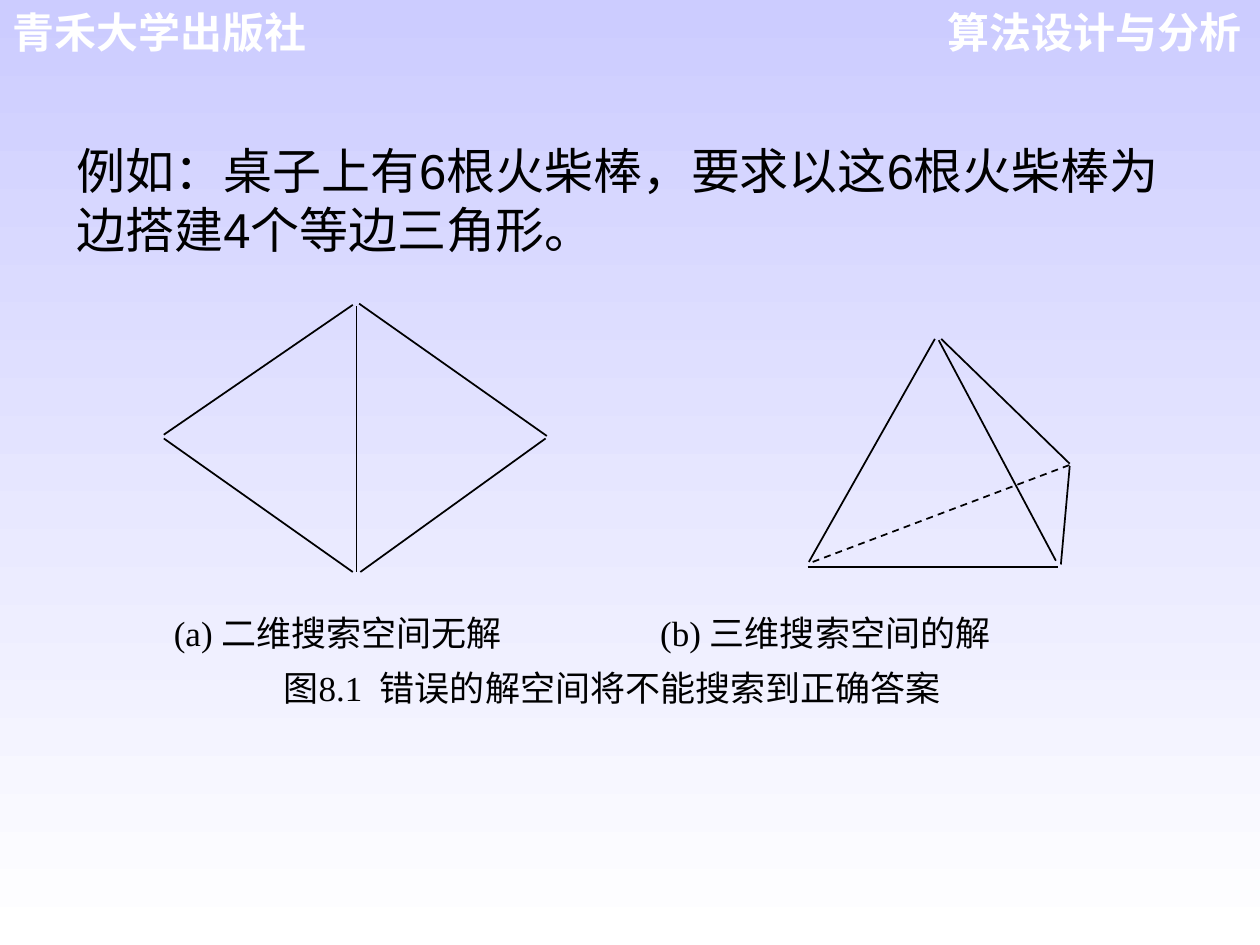
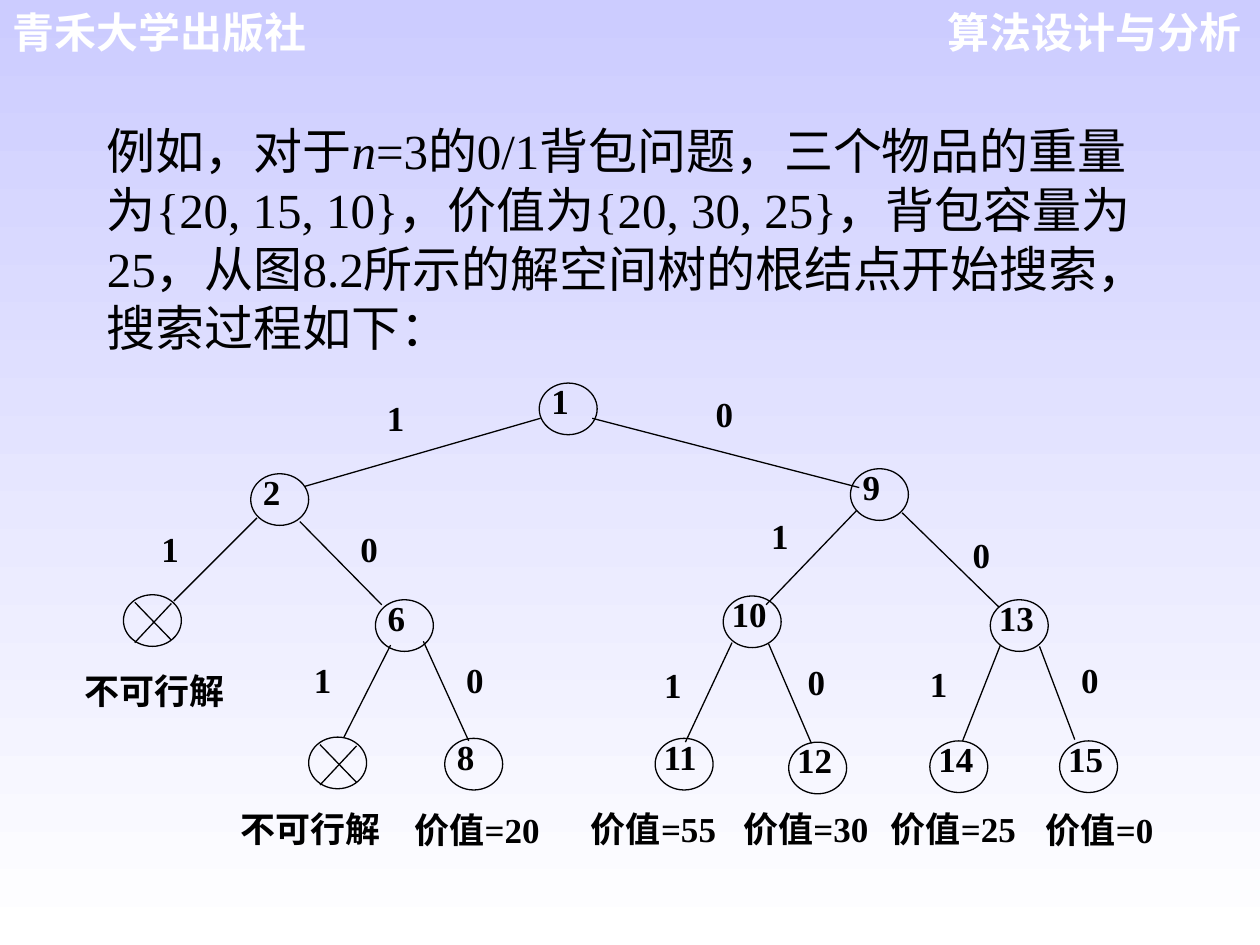
import lxml.etree
import pptx
import pptx.dml.color
import pptx.enum.dml
import pptx.enum.lang
import pptx.enum.shapes
import pptx.enum.text
import pptx.oxml.ns
import pptx.util

Inches = pptx.util.Inches
Pt = pptx.util.Pt
Align = pptx.enum.text.PP_ALIGN

COLORS = {"ink": "000000", "head": "FFFFFF", "top": "CCCCFF", "base": "FFFFFF"}
SANS, SERIF = "Arial", "Times New Roman"
PAD = (0.1, 0.05)

DIAMOND = [
    (1.83, 0.43, 1.83, 2.54), (1.85, 0.41, 3.34, 1.46), (1.86, 2.54, 3.33, 1.48),
    (0.3, 1.45, 1.8, 0.42), (0.3, 1.48, 1.8, 2.54),
]
PYRAMID = [
    (0.41, 2.5, 2.4, 2.5), (0.42, 2.46, 1.42, 0.69), (2.38, 2.45, 1.45, 0.7),
    (1.47, 0.69, 2.49, 1.68), (2.42, 2.48, 2.49, 1.7),
]
HIDDEN = (0.45, 2.46, 2.49, 1.69)

BRANCHES = [
    (3.79, 0.32, 1.92, 0.86, "1", 2.57, 0.21), (4.2, 0.32, 6.32, 0.87, "0", 5.18, 0.18),
    (1.54, 1.11, 0.88, 1.77, "1", 0.78, 1.25), (1.88, 1.14, 2.53, 1.8, "0", 2.36, 1.25),
    (6.3, 1.05, 5.58, 1.8, "1", 5.62, 1.15), (6.66, 1.07, 7.43, 1.82, "0", 7.22, 1.3),
    (2.6, 2.12, 2.23, 2.85, "1", 1.99, 2.29), (2.86, 2.09, 3.22, 2.88, "0", 3.2, 2.29),
    (5.31, 2.1, 4.94, 2.89, "1", 4.77, 2.33), (5.6, 2.11, 5.94, 2.9, "0", 5.91, 2.31),
    (7.44, 2.12, 7.14, 2.88, "1", 6.88, 2.32), (7.75, 2.13, 8.03, 2.87, "0", 8.08, 2.29),
]
NODES = [
    (3.78, 0.04, "1"), (1.49, 0.76, "2"), (2.48, 1.76, "6"), (3.03, 2.86, "8"),
    (6.25, 0.72, "9"), (5.24, 1.73, "10"), (4.7, 2.86, "11"), (5.76, 2.89, "12"),
    (7.36, 1.76, "13"), (6.88, 2.88, "14"), (7.91, 2.88, "15"),
]
CROSSED = [(0.48, 1.72), (1.95, 2.85)]
RESULTS = [
    (0.17, 2.38, "不可行解"), (1.41, 3.47, "不可行解"), (2.79, 3.48, "价值=20"),
    (4.19, 3.47, "价值=55"), (5.4, 3.47, "价值=30"), (6.57, 3.47, "价值=25"),
    (7.8, 3.48, "价值=0"),
]


def shade(name):
    """Return the named colour."""
    return pptx.dml.color.RGBColor.from_string(COLORS[name])


def write(shape, runs, size, face, color="ink", bold=False, align=Align.LEFT,
          pad=(0, 0), space=None):
    """Fill one paragraph of a shape with (text, italic) runs."""
    frame = shape.text_frame
    frame.word_wrap = True
    frame.vertical_anchor = pptx.enum.text.MSO_ANCHOR.TOP
    frame.margin_left = frame.margin_right = Inches(pad[0])
    frame.margin_top = frame.margin_bottom = Inches(pad[1])
    para = frame.paragraphs[0]
    para.alignment = align
    if space:
        para.line_spacing = space
    for text, slant in runs:
        run = para.add_run()
        run.text = text
        font = run.font
        font.name, font.size = face, Pt(size)
        font.bold, font.italic = bold, slant
        font.color.rgb = shade(color)
        font.language_id = pptx.enum.lang.MSO_LANGUAGE_ID.SIMPLIFIED_CHINESE


def label(slide, box, text, size, face, **style):
    """Add a text box; text is a string or a list of runs."""
    runs = [(text, False)] if isinstance(text, str) else text
    write(slide.shapes.add_textbox(*map(Inches, box)), runs, size, face, **style)


def stroke(slide, x, y, ends, width, dash=False):
    """Draw a straight line whose ends are relative to x, y."""
    x1, y1, x2, y2 = ends
    line = slide.shapes.add_connector(
        pptx.enum.shapes.MSO_CONNECTOR.STRAIGHT,
        Inches(x + x1), Inches(y + y1), Inches(x + x2), Inches(y + y2))
    line.line.color.rgb = shade("ink")
    line.line.width = Pt(width)
    if dash:
        line.line.dash_style = pptx.enum.dml.MSO_LINE.DASH
    lxml.etree.SubElement(line._element.spPr, pptx.oxml.ns.qn("a:effectLst"))


def node(slide, x, y, text=""):
    """Draw a tree node, crossed out when it has no text."""
    oval = slide.shapes.add_shape(pptx.enum.shapes.MSO_SHAPE.OVAL,
                                  Inches(x), Inches(y), Inches(0.46), Inches(0.41))
    oval.shadow.inherit = False
    oval.fill.background()
    oval.line.color.rgb = shade("ink")
    oval.line.width = Pt(0.75)
    if text:
        inset = 0.03 if len(text) == 1 else 0
        write(oval, [(text, False)], 20, SERIF, bold=True, space=0.72, pad=(inset, 0))
        oval.text_frame.margin_right = 0
    else:
        for ends in [(0.09, 0.06, 0.38, 0.36), (0.38, 0.07, 0.09, 0.38)]:
            stroke(slide, x, y, ends, 0.75)


def figure(slide, x, y, lines):
    """Draw the matchsticks of one figure."""
    for ends in lines:
        stroke(slide, x, y, ends, 1)


def legend(slide, x, y):
    """Write the captions below the two figures."""
    for dx, dy, wide, text in [(0, 0, 3.2, "(a) 二维搜索空间无解"),
                               (3.86, 0, 3.2, "(b) 三维搜索空间的解"),
                               (0.87, 0.44, 6, "图8.1  错误的解空间将不能搜索到正确答案")]:
        label(slide, (x + dx, y + dy, wide, 0.4), text, 20, SERIF)


def tree(slide, x, y):
    """Draw the solution tree with its branch labels and results."""
    style = {"bold": True, "space": 0.8}
    for *ends, bit, dx, dy in BRANCHES:
        stroke(slide, x, y, ends, 0.75)
        label(slide, (x + dx, y + dy, 0.31, 0.29), bit, 20, SERIF, **style)
    for dx, dy, *text in NODES + CROSSED:
        node(slide, x + dx, y + dy, *text)
    for dx, dy, text in RESULTS:
        label(slide, (x + dx, y + dy, 1.31 if len(text) == 4 and "=" not in text else 1.14, 0.37),
              text, 20, SERIF, **style)


def page(deck):
    """Add a blank slide with the two header texts."""
    slide = deck.slides.add_slide(deck.slide_layouts[6])
    for left, text, align in [(7.24, "算法设计与分析", Align.RIGHT),
                              (0, "青禾大学出版社", Align.LEFT)]:
        label(slide, (left, 0, 2.71, 0.5), text, 24, SANS, color="head",
              bold=True, align=align, pad=PAD)
    return slide


def matches(deck):
    """Build the matchstick slide."""
    slide = page(deck)
    figure(slide, 1, 2, DIAMOND)
    figure(slide, 6, 2, PYRAMID)
    stroke(slide, 6, 2, HIDDEN, 1, dash=True)
    legend(slide, 1.38, 4.85)
    label(slide, (0.51, 1.07, 8.82, 1.04),
          "例如：桌子上有6根火柴棒，要求以这6根火柴棒为边搭建4个等边三角形。",
          28, SANS, pad=PAD)


def knapsack(deck):
    """Build the knapsack slide."""
    slide = page(deck)
    runs = [("例如，对于", False), ("n", True),
            ("=3的0/1背包问题，三个物品的重量为{20, 15, 10}，价值为{20, 30, 25}，"
             "背包容量为25，从图8.2所示的解空间树的根结点开始搜索，搜索过程如下：", False)]
    label(slide, (0.75, 0.91, 8.58, 1.97), runs, 28, SERIF, pad=PAD)
    tree(slide, 0.5, 3)


def main():
    """Build and save the deck."""
    deck = pptx.Presentation()
    deck.slide_width, deck.slide_height = Inches(10), Inches(7.5)
    fill = deck.slide_master.background.fill
    fill.gradient()
    fill.gradient_angle = 270
    for stop, name in zip(fill.gradient_stops, ("top", "base")):
        stop.color.rgb = shade(name)
    matches(deck)
    knapsack(deck)
    deck.save("out.pptx")


if __name__ == "__main__":
    main()
